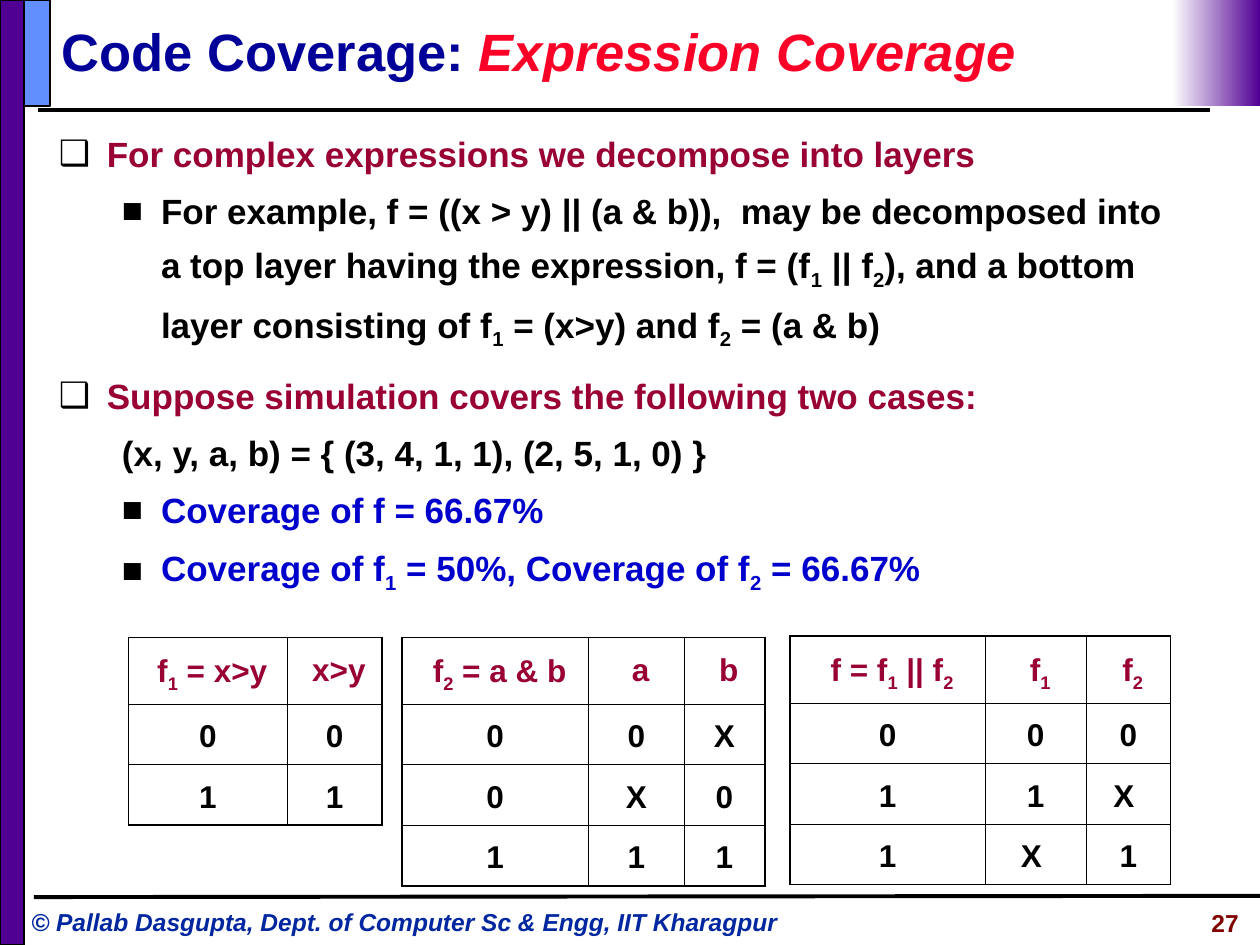
import pptx
import pptx.dml.color
import pptx.enum.shapes
import pptx.enum.text
import pptx.oxml
import pptx.oxml.ns
import pptx.util
import lxml.etree

Inches = pptx.util.Inches
Pt = pptx.util.Pt
RGB = pptx.dml.color.RGBColor.from_string
align = pptx.enum.text.PP_ALIGN
anchor = pptx.enum.text.MSO_ANCHOR
qn = pptx.oxml.ns.qn


class Theme:
    font = "Arial"
    black = "000000"
    white = "FFFFFF"
    purple = "500093"
    blue = "618FFD"
    navy = "000099"
    red = "FC0128"
    wine = "990033"
    azure = "0000CC"
    credit = "00279F"
    number = "800000"
    title = 30
    body = 20
    cell = 18
    small = 14


def write(para, text, size=Theme.body, color=Theme.black, italic=False,
          side=align.LEFT, lead=None, before=None):
    para.alignment = side
    if lead:
        para.line_spacing = lead
    if before is not None:
        para.space_before = Pt(before)
    first, *rest = text.split("_")
    parts = [(first, False)]
    for part in rest:
        parts += [(part[0], True), (part[1:], False)]
    for piece, sub in parts:
        if not piece:
            continue
        run = para.add_run()
        run.text = piece
        run.font.name = Theme.font
        run.font.size = Pt(size)
        run.font.bold = True
        run.font.italic = italic
        run.font.color.rgb = RGB(color)
        if sub:
            run._r.get_or_add_rPr().set("baseline", "-25000")


deck = pptx.Presentation()
deck.slide_width = Inches(10)
deck.slide_height = Inches(7.5)
slide = deck.slides.add_slide(deck.slide_layouts[5])
shapes = slide.shapes

bars = [
    (0, 0.19, 7.5, Theme.purple),
    (0.19, 0.21, 0.84, Theme.blue),
    (9.3, 0.7, 0.84, None),
]
for left, width, height, color in bars:
    bar = shapes.add_shape(pptx.enum.shapes.MSO_SHAPE.RECTANGLE,
                           Inches(left), Inches(0), Inches(width), Inches(height))
    bar.shadow.inherit = False
    if color:
        bar.fill.solid()
        bar.fill.fore_color.rgb = RGB(color)
        bar.line.color.rgb = RGB(Theme.black)
        bar.line.width = Pt(1)
    else:
        bar.fill.gradient()
        bar.fill.gradient_angle = 180
        for stop, tint in zip(bar.fill.gradient_stops, (Theme.purple, Theme.white)):
            stop.color.rgb = RGB(tint)
        bar.line.fill.background()

for left, top, right, end in [(0.3, 0.87, 9.6, 0.87), (0.27, 7.12, 10, 7.11)]:
    rule = shapes.add_connector(pptx.enum.shapes.MSO_CONNECTOR.STRAIGHT,
                                Inches(left), Inches(top), Inches(right), Inches(end))
    rule.line.color.rgb = RGB(Theme.black)
    rule.line.width = Pt(2.25)
    lxml.etree.SubElement(rule._element.spPr, qn("a:effectLst"))

title = shapes.title
title.left, title.top = Inches(0.39), Inches(0.1)
title.width, title.height = Inches(9.1), Inches(0.61)
title.text_frame.word_wrap = True
title.text_frame.auto_size = pptx.enum.text.MSO_AUTO_SIZE.NONE
title.text_frame.vertical_anchor = anchor.MIDDLE
head = title.text_frame.paragraphs[0]
write(head, "Code Coverage: ", size=Theme.title, color=Theme.navy)
write(head, "Expression Coverage", size=Theme.title, color=Theme.red, italic=True)

notes = [
    (0, "❑", Theme.wine, "For complex expressions we decompose into layers"),
    (1, "■", Theme.black, "For example, f = ((x > y) || (a & b)),  may be decomposed into "
     "a top layer having the expression, f = (f_1 || f_2), and a bottom "
     "layer consisting of f_1 = (x>y) and f_2 = (a & b)"),
    (0, "❑", Theme.wine, "Suppose simulation covers the following two cases:"),
    (1, None, Theme.black, "(x, y, a, b) = { (3, 4, 1, 1), (2, 5, 1, 0) }"),
    (1, "■", Theme.azure, "Coverage of f = 66.67%"),
    (1, "■", Theme.azure, "Coverage of f_1 = 50%, Coverage of f_2 = 66.67%"),
]
body = shapes.add_textbox(Inches(0.37), Inches(0.92), Inches(9.13), Inches(4.03))
frame = body.text_frame
frame.word_wrap = True
for row, (level, mark, color, text) in enumerate(notes):
    para = frame.add_paragraph() if row else frame.paragraphs[0]
    para.level = level
    write(para, text, color=color, lead=1.25, before=(7.5, 2.5)[level])
    props = para._p.get_or_add_pPr()
    props.set("marL", str(Inches((0.38, 0.81)[level])))
    props.set("indent", str(Inches((-0.38, -0.31)[level])))
    if mark:
        tint = lxml.etree.SubElement(props, qn("a:buClr"))
        lxml.etree.SubElement(tint, qn("a:srgbClr"), val=Theme.black)
        lxml.etree.SubElement(props, qn("a:buFont"), typeface=Theme.font)
        lxml.etree.SubElement(props, qn("a:buChar"), char=mark)

grids = [
    (1.02, 5.06, [1.26, 0.75],
     [[" f_1 = x>y", " x>y"], ["0", "0"], ["1", "1"]]),
    (3.19, 5.06, [1.48, 0.76, 0.64],
     [[" f_2 = a & b", " a", " b"], ["0", "0", "X"], ["0", "X", "0"], ["1", "1", "1"]]),
    (6.27, 5.05, [1.55, 0.8, 0.67],
     [[" f = f_1 || f_2", " f_1", " f_2"], ["0", "0", "0"], ["1", "1", "X "],
      ["1", "X ", "1"]]),
]
for left, top, widths, rows in grids:
    highs = [0.53] + [0.48] * (len(rows) - 1)
    table = shapes.add_table(len(rows), len(widths), Inches(left), Inches(top),
                             Inches(sum(widths)), Inches(sum(highs))).table
    table.first_row = False
    table.horz_banding = False
    for col, width in zip(table.columns, widths):
        col.width = Inches(width)
    for line, high in zip(table.rows, highs):
        line.height = Inches(high)
    for r, texts in enumerate(rows):
        for c, text in enumerate(texts):
            cell = table.cell(r, c)
            cell.fill.background()
            write(cell.text_frame.paragraphs[0], text, size=Theme.cell,
                  color=Theme.black if r else Theme.wine,
                  side=align.CENTER, lead=1.25, before=6.8)
            edges = [("L", c == 0), ("R", c == len(widths) - 1),
                     ("T", r == 0), ("B", r == len(rows) - 1)]
            props = cell._tc.get_or_add_tcPr()
            for spot, (side, outer) in enumerate(edges):
                edge = props.makeelement(qn("a:ln" + side),
                                         {"w": str(Pt(1.08 if outer else 0.45))})
                fill = lxml.etree.SubElement(edge, qn("a:solidFill"))
                lxml.etree.SubElement(fill, qn("a:srgbClr"), val=Theme.black)
                props.insert(spot, edge)

feet = [
    (0.15, 7.15, 6.37, 0.34, "© Pallab Dasgupta, Dept. of Computer Sc & Engg, IIT Kharagpur",
     Theme.credit, True, align.LEFT),
    (8.18, 7.16, 1.75, 0.35, "27", Theme.number, False, align.RIGHT),
]
for left, top, width, height, text, color, italic, side in feet:
    foot = shapes.add_textbox(Inches(left), Inches(top), Inches(width), Inches(height))
    foot.text_frame.word_wrap = True
    write(foot.text_frame.paragraphs[0], text, size=Theme.small, color=color,
          italic=italic, side=side)

deck.save("out.pptx")
